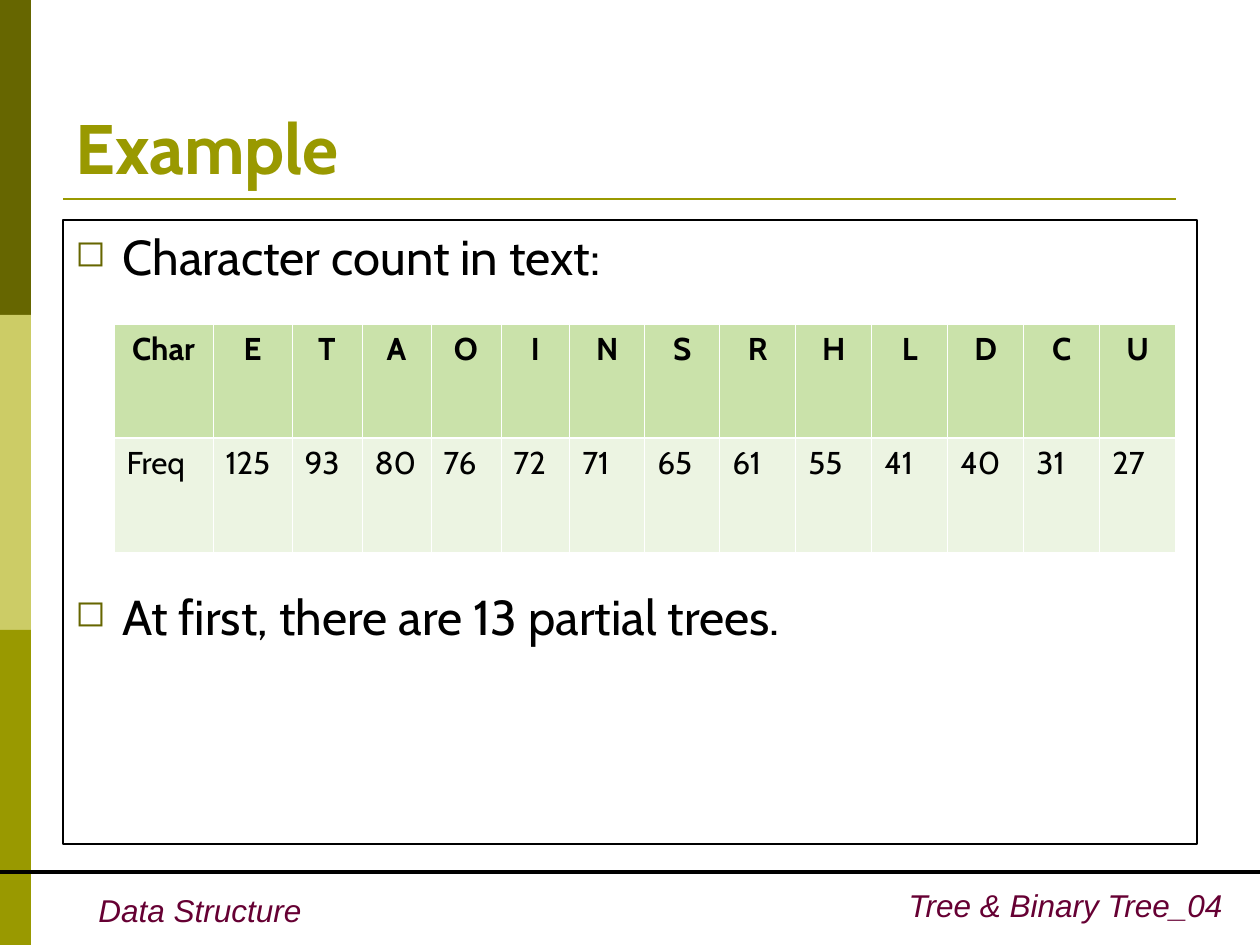
from lxml import etree
from pptx import Presentation
from pptx.dml.color import RGBColor
from pptx.enum.shapes import MSO_CONNECTOR, MSO_SHAPE
from pptx.enum.text import MSO_ANCHOR, PP_ALIGN
from pptx.oxml.ns import qn
from pptx.util import Emu, Pt

RECTANGLE = MSO_SHAPE.RECTANGLE
STRAIGHT = MSO_CONNECTOR.STRAIGHT
LEFT, CENTER, RIGHT = PP_ALIGN.LEFT, PP_ALIGN.CENTER, PP_ALIGN.RIGHT
TOP, BOTTOM = MSO_ANCHOR.TOP, MSO_ANCHOR.BOTTOM

PX = 914400 / 126
COLORS = {
    "dark olive": "666600",
    "light olive": "CCCC66",
    "olive": "999900",
    "plum": "660033",
    "black": "000000",
    "white": "FFFFFF",
    "header row": "CAE2AA",
    "value row": "ECF4E2",
}


def emu(*lengths):
    """Turn px lengths into a list of EMU lengths."""
    return [Emu(round(length * PX)) for length in lengths]


def style_paragraph(paragraph, font_name, size, color, align=LEFT, bold=False, italic=False):
    paragraph.alignment = align
    for run in paragraph.runs:
        run.font.name = font_name
        run.font.size = Pt(size)
        run.font.bold = bold
        run.font.italic = italic
        run.font.color.rgb = RGBColor.from_string(COLORS[color])


presentation = Presentation()
presentation.slide_width, presentation.slide_height = emu(1260, 945)
slide = presentation.slides.add_slide(presentation.slide_layouts[6])
shapes = slide.shapes

# Side bands
for index, color in enumerate(["dark olive", "light olive", "olive"]):
    band = shapes.add_shape(RECTANGLE, *emu(0, index * 315, 31, 315))
    band.shadow.inherit = False
    band.fill.solid()
    band.fill.fore_color.rgb = RGBColor.from_string(COLORS[color])
    band.line.fill.background()

# Title and footer rules
for start, end, y, color, width in [
    (63, 1176, 199, "olive", 1.5),
    (0, 1260, 872, "black", 2.25),
]:
    rule = shapes.add_connector(STRAIGHT, *emu(start, y, end, y))
    rule.line.color.rgb = RGBColor.from_string(COLORS[color])
    rule.line.width = Pt(width)
    etree.SubElement(rule._element.spPr, qn("a:effectLst"))

# Title and footers
for box, text, font_name, size, color, align, anchor, bold, italic, wrap in [
    ((63, 38, 1134, 157), "Example", "Cabin", 40, "olive", LEFT, BOTTOM, True, False, True),
    ((86, 885, 228, 50), "Data Structure", "Arial", 18, "plum", LEFT, TOP, False, True, False),
    ((848, 880, 387, 50), "Tree & Binary Tree_04", "Arial", 18, "plum", RIGHT, TOP, False, True, True),
]:
    text_frame = shapes.add_textbox(*emu(*box)).text_frame
    text_frame.word_wrap = wrap
    text_frame.vertical_anchor = anchor
    text_frame.text = text
    style_paragraph(text_frame.paragraphs[0], font_name, size, color, align, bold, italic)

# Framed bullet list, with room for the table between the two bullets
frame = shapes.add_shape(RECTANGLE, *emu(63, 220, 1134, 624))
frame.shadow.inherit = False
frame.fill.background()
frame.line.color.rgb = RGBColor.from_string(COLORS["black"])
frame.line.width = Pt(0.75)
text_frame = frame.text_frame
text_frame.word_wrap = True
text_frame.vertical_anchor = TOP
text_frame.text = "Character count in text:\nAt first, there are 13 partial trees."
bullet_indent = emu(47)[0]
for paragraph, space_before in zip(text_frame.paragraphs, [0, 172]):
    paragraph.space_before = Pt(space_before)
    properties = paragraph._p.get_or_add_pPr()
    properties.set("marL", str(bullet_indent))
    properties.set("indent", str(-bullet_indent))
    bullet_color = etree.SubElement(properties, qn("a:buClr"))
    etree.SubElement(bullet_color, qn("a:srgbClr"), val=COLORS["dark olive"])
    etree.SubElement(properties, qn("a:buSzPct"), val="75000")
    etree.SubElement(properties, qn("a:buChar"), char="◻")
    style_paragraph(paragraph, "Cabin", 28, "black")

# Frequency table
rows = [
    ["Char", *"ETAOINSRHLDCU"],
    ["Freq", 125, 93, 80, 76, 72, 71, 65, 61, 55, 41, 40, 31, 27],
]
column_widths = [99, 79, 70, 69, 70, 69, 75, 75] + [76] * 6
row_height = 114
table = shapes.add_table(
    len(rows), len(column_widths),
    *emu(114, 324, sum(column_widths), row_height * len(rows)),
).table
for column, width in zip(table.columns, emu(*column_widths)):
    column.width = width

THIN, THICK = 0.45, 1.47
row_styles = [
    ("header row", CENTER, True, THIN, THICK),
    ("value row", LEFT, False, THICK, THIN),
]
for row_index, (fill, align, bold, top_width, bottom_width) in enumerate(row_styles):
    table.rows[row_index].height = emu(row_height)[0]
    for column_index, value in enumerate(rows[row_index]):
        cell = table.cell(row_index, column_index)
        cell.text = str(value)
        style_paragraph(cell.text_frame.paragraphs[0], "Cabin", 18, "black", align, bold)
        properties = cell._tc.get_or_add_tcPr()
        for side, width in [("L", THIN), ("R", THIN), ("T", top_width), ("B", bottom_width)]:
            border = etree.SubElement(properties, qn(f"a:ln{side}"), w=str(Pt(width)))
            border_fill = etree.SubElement(border, qn("a:solidFill"))
            etree.SubElement(border_fill, qn("a:srgbClr"), val=COLORS["white"])
        cell.fill.solid()
        cell.fill.fore_color.rgb = RGBColor.from_string(COLORS[fill])

presentation.save("out.pptx")
